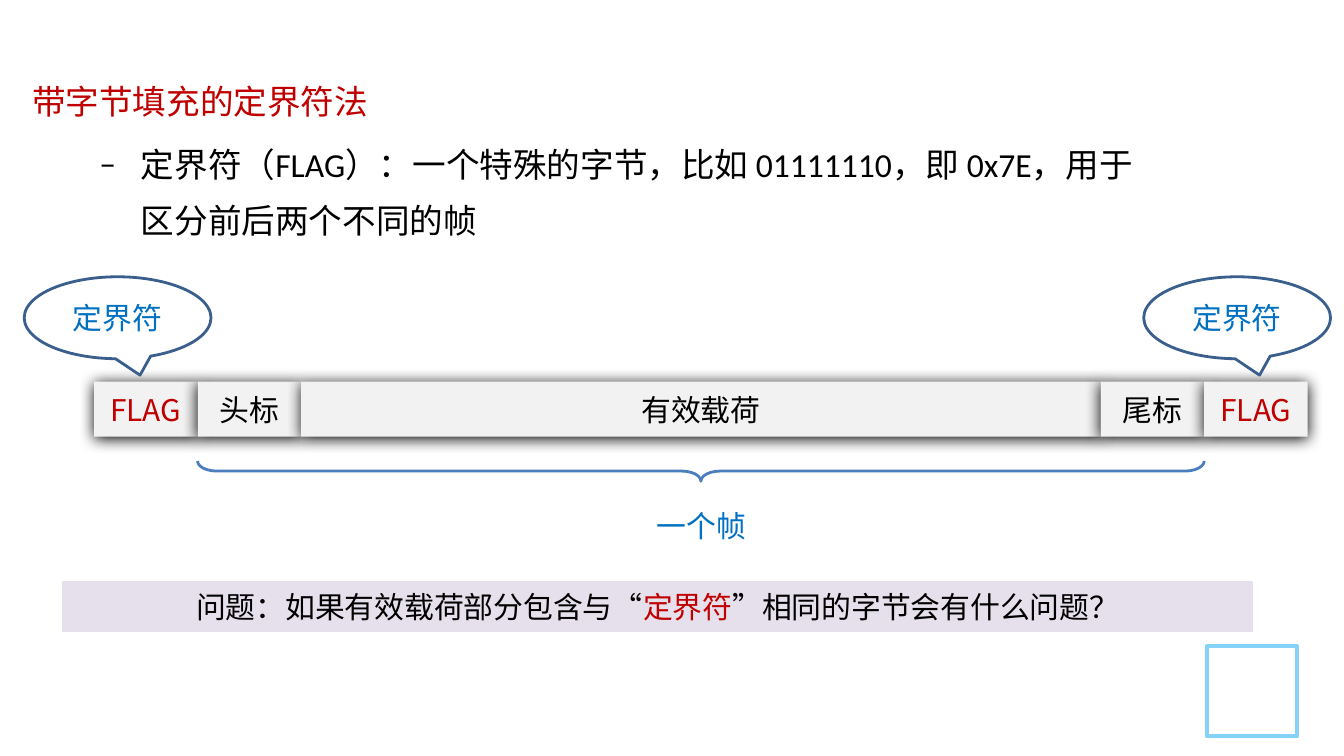
from dataclasses import dataclass

from lxml.etree import SubElement
from pptx import Presentation
from pptx.dml.color import RGBColor
from pptx.enum.shapes import MSO_SHAPE
from pptx.enum.text import MSO_ANCHOR, MSO_AUTO_SIZE, PP_ALIGN
from pptx.oxml.ns import qn
from pptx.shapes.autoshape import Shape
from pptx.slide import Slide
from pptx.util import Inches, Pt

CHINESE_FONT = "Noto Sans CJK SC"
BLACK, RED, BLUE, WHITE = "000000", "C00000", "0070C0", "FFFFFF"
CELL_FILL, CALLOUT_LINE, BRACE_LINE = "F2F2F2", "3A5F8C", "4B7EBC"
QUESTION_FILL, CORNER_LINE = "E6E0EC", "85D1F7"
SLIDE_WIDTH = 10
ROW_LEFT, ROW_TOP, ROW_HEIGHT = 0.7, 2.84, 0.41


@dataclass
class Box:
    left: float
    top: float
    width: float
    height: float


@dataclass
class FrameField:
    label: str
    width: float
    color: str = BLACK


FRAME_FIELDS = [
    FrameField("FLAG", 0.77, RED),
    FrameField("头标", 0.77),
    FrameField("有效载荷", 5.95),
    FrameField("尾标", 0.77),
    FrameField("FLAG", 0.77, RED),
]
CALLOUT_LEFTS = [0.18, 8.51]
QUESTION_RUNS = [
    ("问题：如果有效载荷部分包含与“", BLACK),
    ("定界符", RED),
    ("”相同的字节会有什么问题？", BLACK),
]


def rgb(color: str) -> RGBColor:
    """Turn a hex string into a colour."""
    return RGBColor.from_string(color)


def add_run(paragraph, text: str, color: str, size: float = 16, font: str = CHINESE_FONT) -> None:
    """Append a run with its Latin and East Asian fonts."""
    run = paragraph.add_run()
    run.text = text
    run.font.size = Pt(size)
    run.font.color.rgb = rgb(color)
    run.font.name = font
    SubElement(run.font._element, qn("a:ea"), typeface=CHINESE_FONT)


def add_centered_runs(shape: Shape, runs: list[tuple[str, str]]) -> None:
    """Write one centred paragraph of coloured runs."""
    paragraph = shape.text_frame.paragraphs[0]
    paragraph.alignment = PP_ALIGN.CENTER
    for text, color in runs:
        add_run(paragraph, text, color)


def add_figure(slide: Slide, kind: MSO_SHAPE, box: Box, fill: str | None = None,
               line: str | None = None, line_width: float = 1.5) -> Shape:
    """Add a preset shape with no shadow and the given fill and line."""
    shape = slide.shapes.add_shape(
        kind, Inches(box.left), Inches(box.top), Inches(box.width), Inches(box.height))
    shape.shadow.inherit = False
    if fill:
        shape.fill.solid()
        shape.fill.fore_color.rgb = rgb(fill)
    else:
        shape.fill.background()
    if line:
        shape.line.color.rgb = rgb(line)
        shape.line.width = Pt(line_width)
    else:
        shape.line.fill.background()
    return shape


def add_text_box(slide: Slide, box: Box) -> Shape:
    """Add a wrapping text box."""
    shape = slide.shapes.add_textbox(
        Inches(box.left), Inches(box.top), Inches(box.width), Inches(box.height))
    shape.text_frame.word_wrap = True
    return shape


def add_soft_shadow(shape: Shape) -> None:
    """Give a shape a blurred black shadow just below it."""
    effects = shape._element.spPr.find(qn("a:effectLst"))
    shadow = SubElement(effects, qn("a:outerShdw"), blurRad=str(Pt(8.5)),
                        dist=str(Pt(1)), dir="5400000", algn="t", rotWithShape="0")
    SubElement(shadow, qn("a:srgbClr"), val=BLACK)


def add_frame_row(slide: Slide) -> None:
    """Draw the fields of the frame side by side."""
    left = ROW_LEFT
    for field in FRAME_FIELDS:
        box = Box(left, ROW_TOP, field.width, ROW_HEIGHT)
        shape = add_figure(slide, MSO_SHAPE.RECTANGLE, box, CELL_FILL)
        add_soft_shadow(shape)
        frame = shape.text_frame
        frame.margin_left = frame.margin_right = frame.margin_top = frame.margin_bottom = 0
        frame.word_wrap = False
        frame.vertical_anchor = MSO_ANCHOR.MIDDLE
        add_centered_runs(shape, [(field.label, field.color)])
        left += field.width


def add_frame_brace(slide: Slide) -> None:
    """Draw the brace under the frame and its label."""
    brace = add_figure(slide, MSO_SHAPE.LEFT_BRACE, Box(5.14, -0.24, 0.15, 7.49), line=BRACE_LINE)
    brace.rotation = 270
    brace.adjustments[0] = 0.95
    brace.adjustments[1] = 0.5
    label = add_text_box(slide, Box(4.5, 3.73, 1.44, 0.37))
    label.text_frame.auto_size = MSO_AUTO_SIZE.SHAPE_TO_FIT_TEXT
    add_centered_runs(label, [("一个帧", BLUE)])


def add_callout(slide: Slide, left: float) -> None:
    """Draw a delimiter callout pointing at a flag."""
    callout = add_figure(slide, MSO_SHAPE.OVAL_CALLOUT, Box(left, 2.06, 1.39, 0.61),
                         WHITE, CALLOUT_LINE)
    callout.adjustments[0] = 0.12
    callout.adjustments[1] = 0.7
    callout.text_frame.vertical_anchor = MSO_ANCHOR.MIDDLE
    add_centered_runs(callout, [("定界符", BLUE)])


def add_question(slide: Slide) -> None:
    """Draw the question bar."""
    bar = add_figure(slide, MSO_SHAPE.RECTANGLE, Box(0.47, 4.33, 8.85, 0.37),
                     QUESTION_FILL, QUESTION_FILL, 0.75)
    bar.text_frame.word_wrap = True
    bar.text_frame.vertical_anchor = MSO_ANCHOR.TOP
    bar.text_frame.auto_size = MSO_AUTO_SIZE.SHAPE_TO_FIT_TEXT
    add_centered_runs(bar, QUESTION_RUNS)


def add_explanation(slide: Slide) -> None:
    """Write the heading and its dashed point."""
    frame = add_text_box(slide, Box(0.14, 0.44, 8.51, 1.4)).text_frame
    heading = frame.paragraphs[0]
    heading.line_spacing = Pt(30)
    add_run(heading, "带字节填充的定界符法", RED, 18, "Calibri")

    point = frame.add_paragraph()
    point.level = 1
    point.line_spacing = Pt(30)
    point.space_before = Pt(3.6)
    properties = point._p.get_or_add_pPr()
    properties.set("marL", str(Inches(0.81)))
    properties.set("indent", str(Inches(-0.31)))
    SubElement(properties, qn("a:buFont"), typeface="Calibri")
    SubElement(properties, qn("a:buChar"), char="–")
    add_run(point, "定界符（FLAG）：一个特殊的字节，比如 01111110，即 0x7E，用于区分前后两个不同的帧",
            BLACK, 18, "Calibri")


def main() -> None:
    """Build the slide and save it."""
    presentation = Presentation()
    presentation.slide_width = Inches(SLIDE_WIDTH)
    presentation.slide_height = Inches(SLIDE_WIDTH * 9 / 16)
    slide = presentation.slides.add_slide(presentation.slide_layouts[6])
    add_figure(slide, MSO_SHAPE.RECTANGLE, Box(8.98, 4.81, 0.67, 0.67), WHITE, CORNER_LINE, 2)
    add_frame_row(slide)
    add_frame_brace(slide)
    for left in CALLOUT_LEFTS:
        add_callout(slide, left)
    add_question(slide)
    add_explanation(slide)
    presentation.save("out.pptx")


if __name__ == "__main__":
    main()
